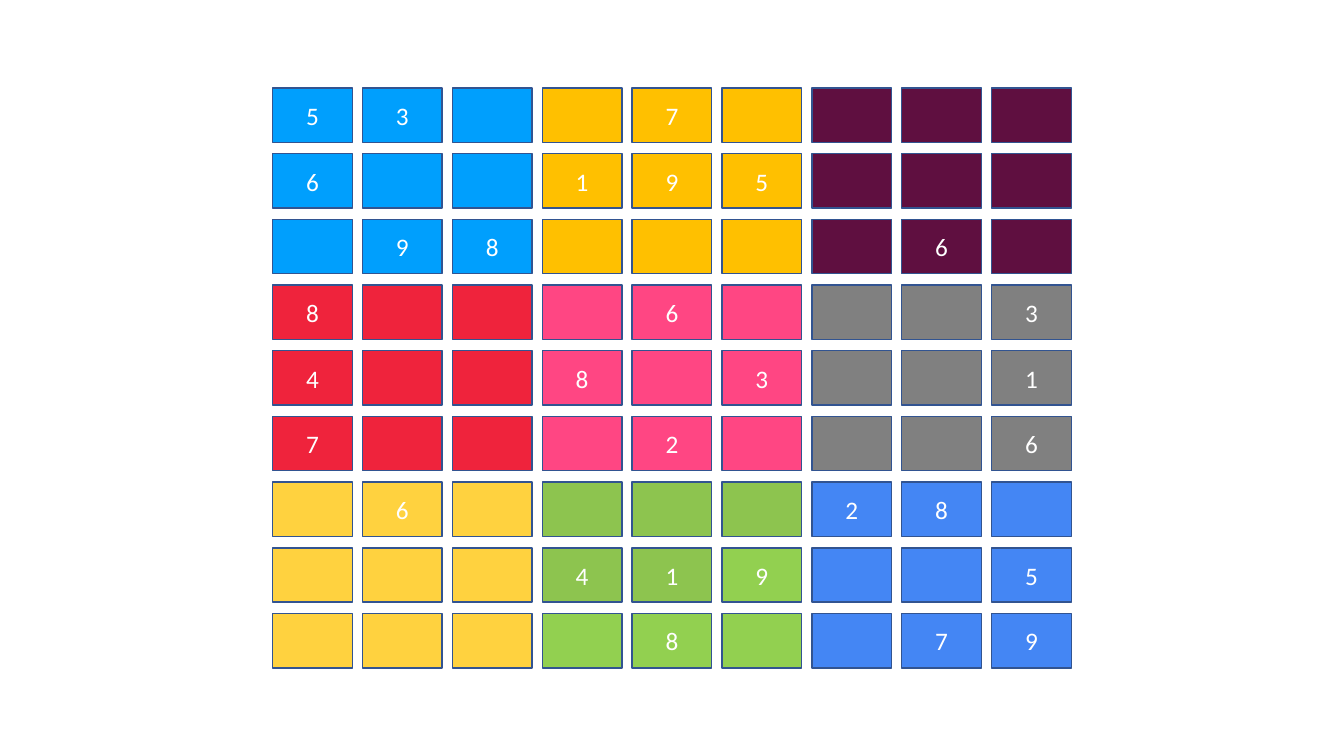
from pptx import Presentation
from pptx import util as u
from pptx.dml.color import RGBColor
from pptx.enum import shapes, text

# Sudoku digits, row by row; a dot is an empty cell
PUZZLE = [
    "53..7....",
    "6..195...",
    ".98....6.",
    "8...6...3",
    "4..8.3..1",
    "7...2...6",
    ".6....28.",
    "...419..5",
    "....8..79",
]
BOX_COLORS = [
    ["sky", "amber", "plum"],
    ["red", "pink", "gray"],
    ["yellow", "green", "blue"],
]
LIME_CELLS = {(7, 5), (8, 3), (8, 4), (8, 5)}
COLORS = {
    "sky": "009FFD", "amber": "FFC000", "plum": "5F0F40",
    "red": "EF233C", "pink": "FF4683", "gray": "808080",
    "yellow": "FFD23F", "green": "8DC44F", "blue": "4486F4",
    "lime": "92D050", "border": "325491", "digit": "FFFFFF",
}

SIZE, BOX_SIZE = 9, 3
GRID_LEFT, GRID_TOP = u.Cm(6.87), u.Cm(2.22)
GRID_WIDTH, GRID_HEIGHT = u.Cm(20.13), u.Cm(14.61)
CELL_WIDTH, CELL_HEIGHT = u.Cm(2.01), u.Cm(1.37)
COLUMN_STEP = (GRID_WIDTH - CELL_WIDTH) / (SIZE - 1)
ROW_STEP = (GRID_HEIGHT - CELL_HEIGHT) / (SIZE - 1)


def color(name):
    """Return the named palette colour."""
    return RGBColor.from_string(COLORS[name])


def cell_color(row, column):
    """Return the colour name of a cell, set by its box."""
    if (row, column) in LIME_CELLS:
        return "lime"
    return BOX_COLORS[row // BOX_SIZE][column // BOX_SIZE]


def add_cell(grid, row, column, digit):
    """Add one cell of the puzzle, with its digit if it has one."""
    shape = grid.shapes.add_shape(
        shapes.MSO_SHAPE.RECTANGLE,
        round(GRID_LEFT + column * COLUMN_STEP),
        round(GRID_TOP + row * ROW_STEP),
        CELL_WIDTH, CELL_HEIGHT)
    shape.shadow.inherit = False
    shape.fill.solid()
    shape.fill.fore_color.rgb = color(cell_color(row, column))
    shape.line.color.rgb = color("border")
    shape.line.width = u.Pt(1)
    if digit == ".":
        return
    shape.text_frame.vertical_anchor = text.MSO_ANCHOR.MIDDLE
    paragraph = shape.text_frame.paragraphs[0]
    paragraph.text = digit
    paragraph.alignment = text.PP_ALIGN.CENTER
    paragraph.font.name = "Calibri"
    paragraph.font.size = u.Pt(18)
    paragraph.font.color.rgb = color("digit")


presentation = Presentation()
presentation.slide_width, presentation.slide_height = u.Cm(33.87), u.Cm(19.05)
slide = presentation.slides.add_slide(presentation.slide_layouts[6])
grid = slide.shapes.add_group_shape()
for row, digits in enumerate(PUZZLE):
    for column, digit in enumerate(digits):
        add_cell(grid, row, column, digit)
presentation.save("out.pptx")
